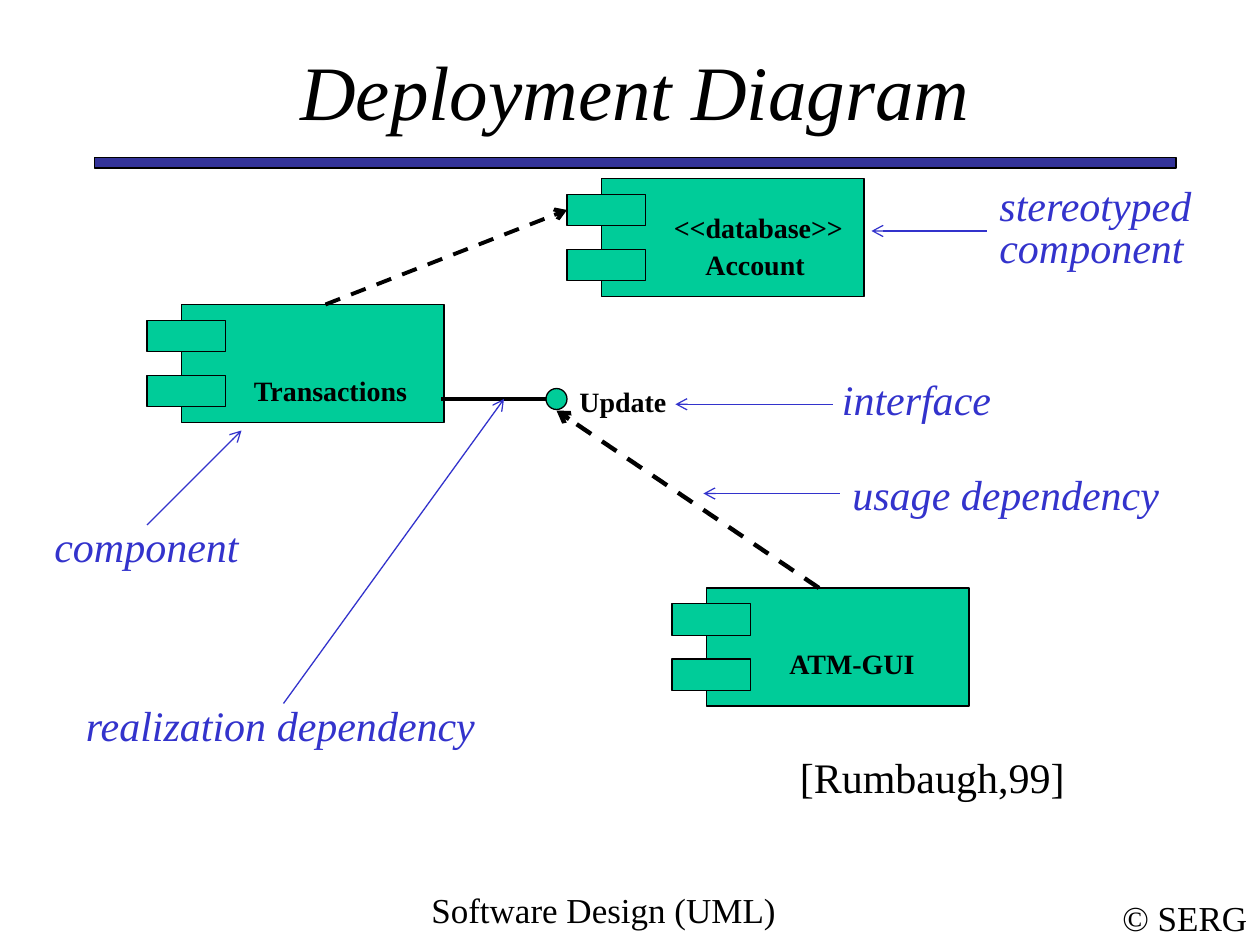
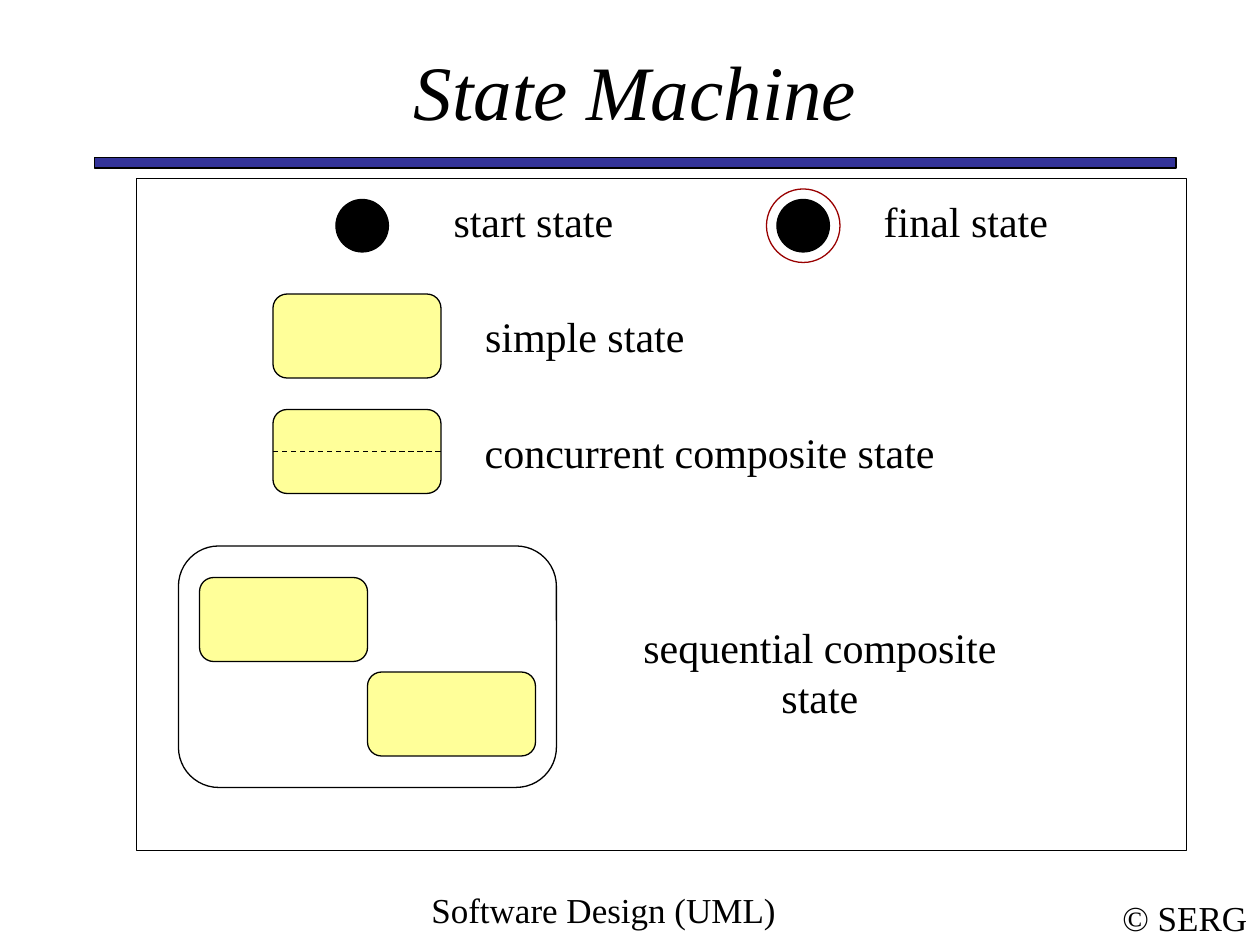
from lxml.etree import SubElement
from pptx import Presentation
from pptx.dml.color import RGBColor
from pptx.enum.dml import MSO_LINE
from pptx.enum.shapes import MSO_CONNECTOR, MSO_SHAPE
from pptx.enum.text import MSO_ANCHOR, MSO_AUTO_SIZE, PP_ALIGN
from pptx.oxml.ns import qn
from pptx.util import Inches, Pt

CELLS_PER_INCH = 12
COLUMNS, ROWS = 120, 90
COLOURS = {
    "ink": "000000",
    "band": "333399",
    "component": "00CC99",
    "note": "3333CC",
    "state": "FFFF99",
    "ring": "990000",
}
FONTS = {
    "title": {"size": Pt(44), "italic": True},
    "footer": {"size": Pt(20)},
    "name": {"size": Pt(16), "bold": True},
    "note": {"size": Pt(24), "italic": True},
    "caption": {"size": Pt(24)},
}
FLOWING = {"word_wrap": True, "vertical_anchor": MSO_ANCHOR.TOP}
CENTRED = {"word_wrap": True, "vertical_anchor": MSO_ANCHOR.MIDDLE}
ONE_LINE = {"word_wrap": False, "vertical_anchor": MSO_ANCHOR.MIDDLE}
NAME_HEIGHT, LABEL_HEIGHT = 4.4, 6
STATE_SIZE = (16, 8)
DOT_SIZE = (5, 5)


def cells(*counts):
    """Convert grid cells to lengths."""
    return [Inches(count / CELLS_PER_INCH) for count in counts]


def colour(name):
    """Look up a named colour."""
    return RGBColor.from_string(COLOURS[name])


def apply(target, values):
    """Set every format value on the target."""
    for name, value in values.items():
        setattr(target, name, value)


def write(shape, text, font, frame, align, ink="ink"):
    """Fill a shape with one formatted paragraph."""
    apply(shape.text_frame, {"auto_size": MSO_AUTO_SIZE.NONE, **frame})
    paragraph = shape.text_frame.paragraphs[0]
    paragraph.alignment = align
    run = paragraph.add_run()
    run.text = text
    apply(run.font, {"name": "Times New Roman", **FONTS[font]})
    run.font.color.rgb = colour(ink)


def add_text(slide, text, box, font, frame=FLOWING, align=PP_ALIGN.LEFT, ink="ink"):
    """Add a text box on the grid."""
    write(slide.shapes.add_textbox(*cells(*box)), text, font, frame, align, ink)


def add_caption(slide, text, left, top, width, frame=ONE_LINE):
    """Add a centred caption beside a symbol."""
    box = (left, top, width, LABEL_HEIGHT)
    add_text(slide, text, box, "caption", frame, PP_ALIGN.CENTER)


def add_outline(shapes, kind, box, fill=None, line="ink"):
    """Add a thinly outlined preset shape."""
    shape = shapes.add_shape(kind, *cells(*box))
    shape.shadow.inherit = False
    if fill:
        shape.fill.solid()
        shape.fill.fore_color.rgb = colour(fill)
    else:
        shape.fill.background()
    shape.line.color.rgb = colour(line)
    shape.line.width = Pt(0.75)
    return shape


def add_line(slide, start, end, ink="ink", width=0.75, dashed=False, arrow=False):
    """Add a straight line with an optional arrowhead at its end."""
    connector = slide.shapes.add_connector(MSO_CONNECTOR.STRAIGHT, *cells(*start, *end))
    connector.line.color.rgb = colour(ink)
    connector.line.width = Pt(width)
    if dashed:
        connector.line.dash_style = MSO_LINE.DASH
    if arrow:
        SubElement(connector.line._get_or_add_ln(), qn("a:tailEnd"), type="arrow")
    SubElement(connector._element.spPr, qn("a:effectLst"))
    return connector


def add_component(slide, left, top):
    """Add a component symbol and return its upper lug."""
    shapes = slide.shapes.add_group_shape().shapes
    body = (left + 3.3, top, 25, 11.25)
    add_outline(shapes, MSO_SHAPE.RECTANGLE, body, "component")
    lugs = [
        add_outline(shapes, MSO_SHAPE.RECTANGLE, (left, top + drop, 7.5, 3), "component")
        for drop in (1.5, 6.75)
    ]
    return lugs[0]


def add_state(slide, left, top):
    """Add a rounded state symbol."""
    box = (left, top, *STATE_SIZE)
    shape = add_outline(slide.shapes, MSO_SHAPE.ROUNDED_RECTANGLE, box, "state")
    shape.adjustments[0] = 1 / 6
    return shape


def add_slide(presentation, title):
    """Add a slide with the shared title, band and footers."""
    slide = presentation.slides.add_slide(presentation.slide_layouts[5])
    heading = slide.shapes.title
    apply(heading, dict(zip(("left", "top", "width", "height"), cells(9, 5, 103, 7))))
    write(heading, title, "title", CENTRED, PP_ALIGN.CENTER)
    add_outline(slide.shapes, MSO_SHAPE.RECTANGLE, (9, 15, 103, 1), "band")
    add_text(slide, "Software Design (UML)", (31, 84, 53, 6), "footer",
             align=PP_ALIGN.CENTER)
    add_text(slide, "© SERG", (105.7, 84.85, 14.3, 5.15), "footer",
             ONE_LINE, PP_ALIGN.CENTER)
    return slide


def build_deployment(presentation):
    """Build the annotated deployment diagram."""
    slide = add_slide(presentation, "Deployment Diagram")
    add_component(slide, 14, 29)
    account_lug = add_component(slide, 54, 17)
    add_component(slide, 64, 56)
    add_outline(slide.shapes, MSO_SHAPE.OVAL, (52, 37, 2, 2), "component")

    add_line(slide, (52, 38), (42, 38), width=2.25)
    access = add_line(slide, (31, 29), (54, 20), width=2.25, dashed=True, arrow=True)
    access.end_connect(account_lug, 1)
    add_line(slide, (78, 56), (53, 39.1), width=2.5, dashed=True, arrow=True)

    names = [
        ("Update", 54, 36, 14),
        ("Transactions", 23, 35, 21),
        ("<<database>>", 63, 19.5, 19),
        ("Account", 66, 23, 15),
        ("ATM-GUI", 74, 61, 15),
    ]
    for text, left, top, width in names:
        add_text(slide, text, (left, top, width, NAME_HEIGHT), "name")

    notes = [
        ("component", 4, 49, 25),
        ("realization dependency", 7, 66, 46),
        ("interface", 79, 35, 17),
        ("usage dependency", 80, 44, 32),
        ("stereotyped", 94, 16.5, 21),
        ("component", 94, 20.5, 25),
    ]
    for text, left, top, width in notes:
        add_text(slide, text, (left, top, width, LABEL_HEIGHT), "note", ink="note")

    pointers = [
        ((14, 50), (23, 41)),
        ((27, 67), (48, 38)),
        ((79.33, 38.5), (64.33, 38.5)),
        ((80, 47), (67, 47)),
        ((94, 22), (83, 22)),
    ]
    for start, end in pointers:
        add_line(slide, start, end, "note", arrow=True)
    add_text(slide, "[Rumbaugh,99]", (75, 71, 45, LABEL_HEIGHT), "caption")


def build_state_machine(presentation):
    """Build the key to state machine symbols."""
    slide = add_slide(presentation, "State Machine")
    add_outline(slide.shapes, MSO_SHAPE.RECTANGLE, (13, 17, 100, 64))

    for left in (32, 74):
        add_outline(slide.shapes, MSO_SHAPE.OVAL, (left, 19, *DOT_SIZE), "ink")
    add_outline(slide.shapes, MSO_SHAPE.OVAL, (73, 18, 7, 7), line="ring")

    add_state(slide, 26, 28)
    concurrent = add_state(slide, 26, 39)
    divider = add_line(slide, (26, 43), (42, 43), dashed=True)
    divider.begin_connect(concurrent, 1)
    divider.end_connect(concurrent, 3)

    for left, top in ((35, 64), (19, 55)):
        add_state(slide, left, top)
    composite = add_outline(slide.shapes, MSO_SHAPE.ROUNDED_RECTANGLE, (17, 52, 36, 23))
    composite.adjustments[0] = 1 / 6

    captions = [
        ("start state", 42, 18, 17.6),
        ("final state", 83, 18, 18),
        ("simple state", 45, 29, 21.4),
        ("concurrent composite state", 45, 40, 45.2),
    ]
    for caption in captions:
        add_caption(slide, *caption)
    add_caption(slide, "sequential composite state", 57.1, 61, 42, CENTRED)


def main():
    """Build and save the presentation."""
    presentation = Presentation()
    presentation.slide_width, presentation.slide_height = cells(COLUMNS, ROWS)
    build_deployment(presentation)
    build_state_machine(presentation)
    presentation.save("out.pptx")


if __name__ == "__main__":
    main()
